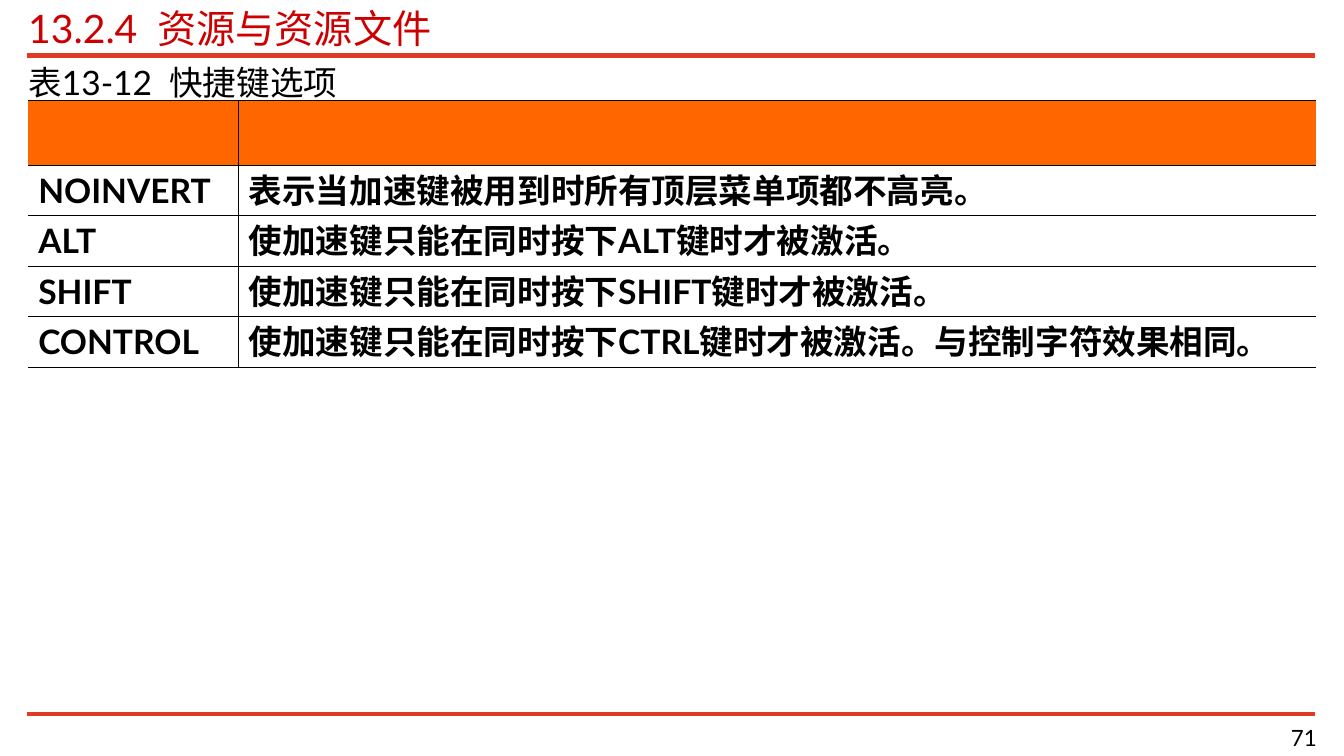
import pptx
import pptx.util
import pptx.dml.color
import pptx.enum.shapes
import pptx.enum.text
import pptx.oxml.ns
from dataclasses import dataclass
from lxml import etree

# Content
TITLE = "13.2.4  资源与资源文件"
CAPTION = "表13-12  快捷键选项"
PAGE_NUMBER = "71"
OPTIONS = [
    ("", ""),
    ("NOINVERT", "表示当加速键被用到时所有顶层菜单项都不高亮。"),
    ("ALT", "使加速键只能在同时按下ALT键时才被激活。"),
    ("SHIFT", "使加速键只能在同时按下SHIFT键时才被激活。"),
    ("CONTROL", "使加速键只能在同时按下CTRL键时才被激活。与控制字符效果相同。"),
]


@dataclass(frozen=True)
class Theme:
    font: str = "Lato"
    title: str = "CC0000"
    text: str = "000000"
    rule: str = "E13A23"
    header: str = "FF6600"
    title_size: int = 28
    body_size: int = 24
    page_size: int = 16
    outer: float = 0.62
    inner: float = 0.45


# Layout in inches
THEME = Theme()
WIDTH, HEIGHT = 13.34, 7.5
LEFT, CONTENT_W = 0.28, 12.78
RULES = [(0.55, 4), (7.08, 3)]
TABLE_TOP = 1
COLUMNS = [2.09, CONTENT_W - 2.09]
ROWS = [0.64] + [0.5] * (len(OPTIONS) - 1)

inch, pt = pptx.util.Inches, pptx.util.Pt
rgb = pptx.dml.color.RGBColor.from_string
qn = pptx.oxml.ns.qn
ALIGN = pptx.enum.text.PP_ALIGN
MIDDLE = pptx.enum.text.MSO_ANCHOR.MIDDLE


def add_run(p, text, size, color, bold=False):
    r = p.add_run()
    r.text = text
    r.font.name, r.font.size, r.font.bold = THEME.font, pt(size), bold
    r.font.color.rgb = rgb(color)
    etree.SubElement(r.font._element, qn("a:ea"), typeface=THEME.font)


def add_text(s, box, text, size, color, align=ALIGN.LEFT):
    tf = s.shapes.add_textbox(*map(inch, box)).text_frame
    tf.margin_left = tf.margin_top = tf.margin_right = tf.margin_bottom = 0
    tf.word_wrap = True
    tf.vertical_anchor = MIDDLE
    p = tf.paragraphs[0]
    p.alignment = align
    add_run(p, text, size, color)


def add_rule(s, y, weight):
    line = s.shapes.add_connector(pptx.enum.shapes.MSO_CONNECTOR.STRAIGHT,
                                  inch(0.27), inch(y), inch(13.05), inch(y))
    line.line.color.rgb = rgb(THEME.rule)
    line.line.width = pt(weight)
    etree.SubElement(line._element.spPr, qn("a:effectLst"))


def set_borders(cell, widths):
    """Draw the sides in order; a side without a width stays open."""
    tc_pr = cell._tc.get_or_add_tcPr()
    for i, side in enumerate(("lnL", "lnR", "lnT", "lnB")):
        width = widths.get(side)
        ln = etree.Element(qn("a:" + side), w=str(int(pt(width or 0))))
        if width:
            fill = etree.SubElement(ln, qn("a:solidFill"))
            etree.SubElement(fill, qn("a:srgbClr"), val=THEME.text)
        else:
            etree.SubElement(ln, qn("a:noFill"))
        tc_pr.insert(i, ln)


def add_options_table(s):
    frame = s.shapes.add_table(len(ROWS), len(COLUMNS), inch(LEFT), inch(TABLE_TOP),
                               inch(CONTENT_W), inch(sum(ROWS)))
    table = frame.table
    table.horz_banding = False
    for column, width in zip(table.columns, COLUMNS):
        column.width = inch(width)
    for i, (row, height) in enumerate(zip(table.rows, ROWS)):
        row.height = inch(height)
        for j, text in enumerate(OPTIONS[i]):
            cell = row.cells[j]
            if i == 0:
                cell.fill.solid()
                cell.fill.fore_color.rgb = rgb(THEME.header)
            else:
                cell.fill.background()
                add_run(cell.text_frame.paragraphs[0], text,
                        THEME.body_size, THEME.text, bold=True)
            set_borders(cell, {
                "lnR" if j == 0 else "lnL": THEME.inner,
                "lnT": THEME.outer if i < 2 else THEME.inner,
                "lnB": THEME.outer if i in (0, len(ROWS) - 1) else THEME.inner,
            })


def main():
    prs = pptx.Presentation()
    prs.slide_width, prs.slide_height = inch(WIDTH), inch(HEIGHT)
    s = prs.slides.add_slide(prs.slide_layouts[6])

    # Rules above and below the content
    for y, weight in RULES:
        add_rule(s, y, weight)

    # Title, table caption and table
    add_text(s, (LEFT, 0.04, CONTENT_W, 0.47), TITLE, THEME.title_size, THEME.title)
    add_text(s, (LEFT, 0.61, CONTENT_W, 0.4), CAPTION, THEME.body_size, THEME.text)
    add_options_table(s)

    # Page number
    add_text(s, (10.39, 7.16, 2.68, 0.31), PAGE_NUMBER, THEME.page_size,
             THEME.text, ALIGN.RIGHT)
    prs.save("out.pptx")


if __name__ == "__main__":
    main()
